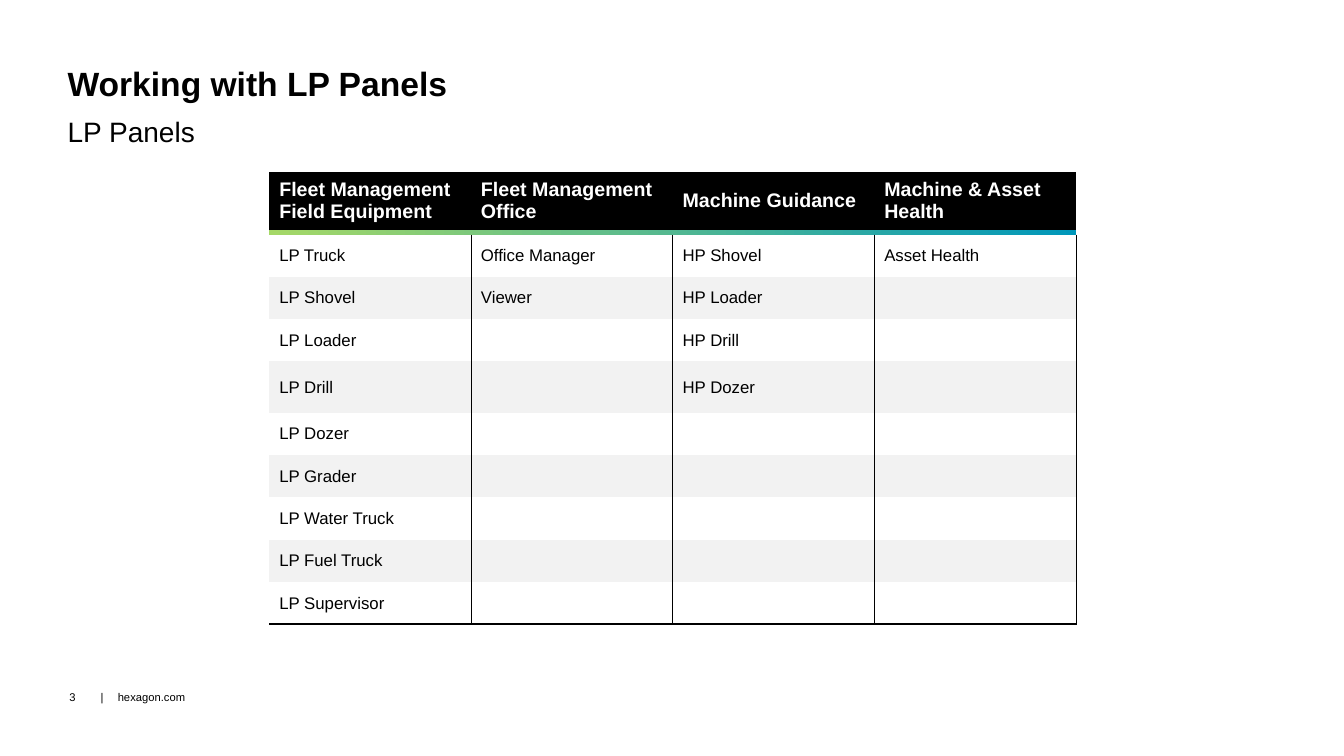
from lxml.etree import SubElement
from pptx import Presentation
from pptx.dml.color import RGBColor
from pptx.enum.text import MSO_ANCHOR
from pptx.oxml.ns import qn
from pptx.util import Inches, Pt

FONT = "Arial"
BLACK, WHITE, BAND = "000000", "FFFFFF", "F2F2F2"
GRADIENT = ("A5D867", "0097BA")
NO_STYLE = "{2D5ABB26-0587-4C30-8999-92F81FD0307C}"

HEADERS = [
    ["Fleet Management", "Field Equipment"],
    ["Fleet Management Office"],
    ["Machine Guidance"],
    ["Machine & Asset Health"],
]
PANELS = [
    ["LP Truck", "LP Shovel", "LP Loader", "LP Drill", "LP Dozer",
     "LP Grader", "LP Water Truck", "LP Fuel Truck", "LP Supervisor"],
    ["Office Manager", "Viewer"],
    ["HP Shovel", "HP Loader", "HP Drill", "HP Dozer"],
    ["Asset Health"],
]
HEADER_H, STRIPE_H, ROW_H, DRILL_H = 0.53, 0.05, 0.42, 0.51
DRILL_ROW = 3


def rgb(color):
    return RGBColor.from_string(color)


def add_run(p, text, size, color=BLACK, bold=False):
    r = p.add_run()
    r.text = text
    r.font.name = FONT
    r.font.size = Pt(size)
    r.font.bold = bold
    r.font.color.rgb = rgb(color)


def add_text(s, text, box, size, inset=(0, 0), bold=False, spacing=None,
             anchor=MSO_ANCHOR.TOP, tab=None):
    tf = s.shapes.add_textbox(*[Inches(v) for v in box]).text_frame
    tf.word_wrap = True
    tf.vertical_anchor = anchor
    tf.margin_left = tf.margin_right = Inches(inset[0])
    tf.margin_top = tf.margin_bottom = Inches(inset[1])
    p = tf.paragraphs[0]
    if tab:
        tabs = SubElement(p._p.get_or_add_pPr(), qn("a:tabLst"))
        SubElement(tabs, qn("a:tab"), pos=str(Inches(tab)), algn="l")
    if spacing:
        p.line_spacing = spacing
    add_run(p, text, size, bold=bold)


def add_border(cell, side, width):
    ln = SubElement(cell._tc.get_or_add_tcPr(), qn("a:ln" + side), w=str(Pt(width)))
    fill = SubElement(ln, qn("a:solidFill"))
    SubElement(fill, qn("a:srgbClr"), val=BLACK)


def set_cell(cell, lines, size, fill, color=BLACK, bold=False):
    cell.vertical_anchor = MSO_ANCHOR.MIDDLE
    cell.fill.solid()
    cell.fill.fore_color.rgb = rgb(fill)
    tf = cell.text_frame
    for i, line in enumerate(lines):
        p = tf.add_paragraph() if i else tf.paragraphs[0]
        add_run(p, line, size, color, bold)


def set_stripe(table, row):
    # Thin gradient line under the header
    cells = list(table.rows[row].cells)
    cells[0].merge(cells[-1])
    for cell in cells:
        cell.margin_top = cell.margin_bottom = 0
        SubElement(cell.text_frame.paragraphs[0]._p, qn("a:endParaRPr"), sz="100")
    fill = cells[0].fill
    fill.gradient()
    fill.gradient_angle = 0
    for stop, position, color in zip(fill.gradient_stops, (0, 1), GRADIENT):
        stop.position = position
        stop.color.rgb = rgb(color)


def add_panel_table(s):
    body_rows = len(PANELS[0])
    heights = [HEADER_H, STRIPE_H] + [ROW_H] * body_rows
    heights[2 + DRILL_ROW] = DRILL_H
    frame = s.shapes.add_table(len(heights), len(HEADERS), Inches(2.67),
                               Inches(1.71), Inches(8), Inches(sum(heights)))
    table = frame.table
    table._tbl.tblPr.find(qn("a:tableStyleId")).text = NO_STYLE
    table.first_row = table.horz_banding = False
    for row, height in zip(table.rows, heights):
        row.height = Inches(height)

    set_stripe(table, 1)
    for col, (header, names) in enumerate(zip(HEADERS, PANELS)):
        table.columns[col].width = Inches(2)
        set_cell(table.cell(0, col), header, 14, BLACK, WHITE, True)
        for i in range(body_rows):
            cell = table.cell(i + 2, col)
            add_border(cell, "R", 0.25)
            if i == body_rows - 1:
                add_border(cell, "B", 1.5)
            set_cell(cell, names[i:i + 1], 12, BAND if i % 2 else WHITE)


def main():
    prs = Presentation()
    prs.slide_width, prs.slide_height = Inches(13.33), Inches(7.5)
    s = prs.slides.add_slide(prs.slide_layouts[6])

    # Heading
    add_text(s, "Working with LP Panels", (0.67, 0.67, 12, 0.45), 24,
             bold=True, spacing=0.9)
    add_text(s, "LP Panels", (0.67, 1.12, 12, 0.4), 20, inset=(0, 0.05),
             spacing=0.9)

    # Panels by product area
    add_panel_table(s)

    # Footer
    footer = {"size": 8, "inset": (0.1, 0.05), "anchor": MSO_ANCHOR.MIDDLE}
    add_text(s, "3", (0.59, 6.72, 0.42, 0.4), **footer)
    add_text(s, "|\thexagon.com", (0.9, 6.72, 4.5, 0.4), tab=0.17, **footer)

    prs.save("out.pptx")


if __name__ == "__main__":
    main()
